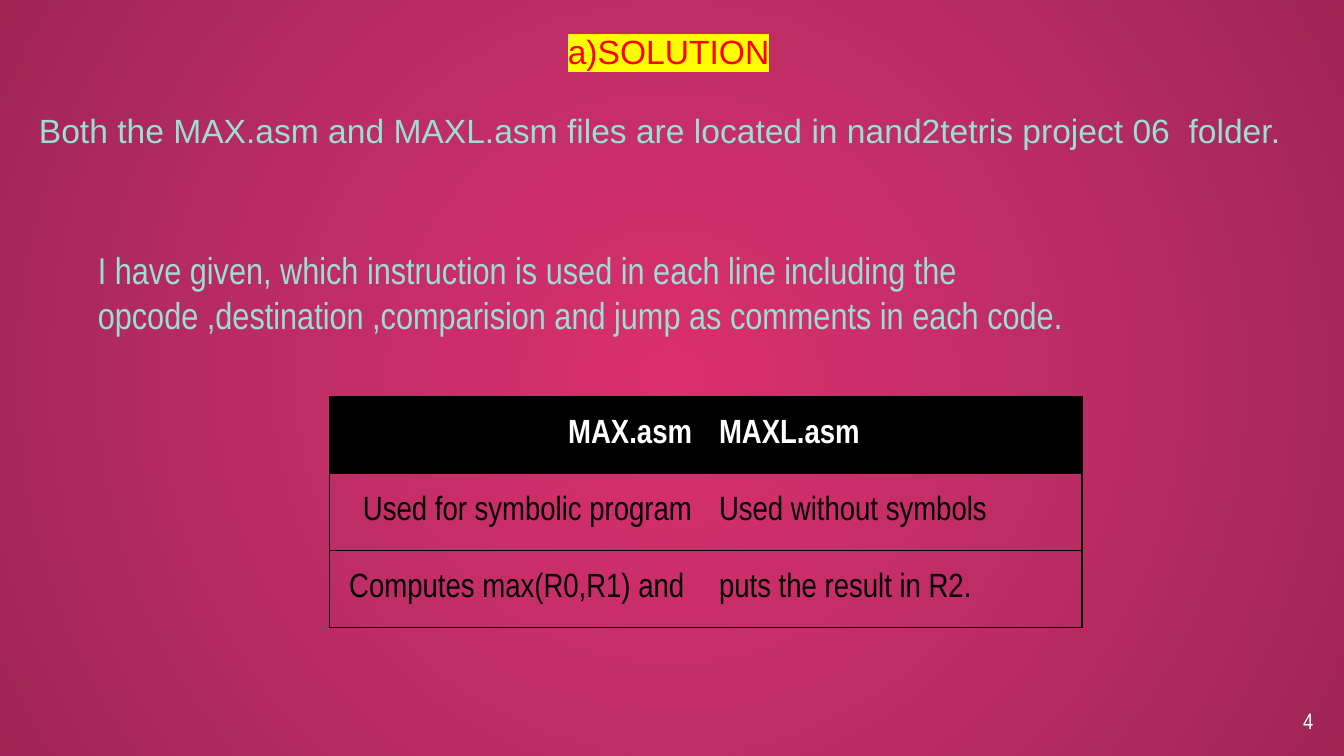
"""Build the solution slide with its file comparison table."""
from pptx import Presentation
from pptx.dml.color import RGBColor
from pptx.enum.shapes import MSO_SHAPE
from pptx.enum.text import MSO_ANCHOR, MSO_AUTO_SIZE, PP_ALIGN
from pptx.oxml import parse_xml
from pptx.oxml.ns import nsdecls, qn
from pptx.util import Pt

RECT = MSO_SHAPE.RECTANGLE
TOP, MIDDLE = MSO_ANCHOR.TOP, MSO_ANCHOR.MIDDLE
LEFT, CENTER, RIGHT = PP_ALIGN.LEFT, PP_ALIGN.CENTER, PP_ALIGN.RIGHT
NO_RESIZE = MSO_AUTO_SIZE.NONE
WIDTH, HEIGHT = 720, 405
NO_STYLE = "{2D5ABB26-0587-4C30-8999-92F81FD0307C}"
COLORS = {
    "pink": "DB2F6B",
    "navy": "073763",
    "night": "010B15",
    "mint": "9BDED2",
    "red": "FF0000",
    "yellow": "FFFF00",
    "white": "FFFFFF",
    "black": "000000",
}
ROWS = [
    ("MAX.asm", "MAXL.asm"),
    ("Used for symbolic program", "Used without symbols"),
    ("Computes max(R0,R1) and\N{NO-BREAK SPACE}", "puts the result in R2."),
]


def rgb(name):
    return RGBColor.from_string(COLORS[name])


def write(p, text, size=18, color="black", font="Arial Narrow", bold=False,
          align=LEFT, before=0, highlight=None):
    p.alignment = align
    p.space_before = Pt(before)
    p.line_spacing = 1.0
    r = p.add_run()
    r.text = text
    r.font.size = Pt(size)
    r.font.name = font
    r.font.bold = bold
    r.font.color.rgb = rgb(color)
    if highlight:
        mark = parse_xml(f'<a:highlight {nsdecls("a")}>'
                         f'<a:srgbClr val="{COLORS[highlight]}"/></a:highlight>')
        r.font._element.find(qn("a:solidFill")).addnext(mark)


def add_vignette(s):
    s.background.fill.solid()
    s.background.fill.fore_color.rgb = rgb("pink")
    sp = s.shapes.add_shape(RECT, 0, 0, Pt(WIDTH), Pt(HEIGHT))
    sp.shadow.inherit = False
    sp.line.fill.background()
    sp.fill.background()
    stops = "".join(
        f'<a:gs pos="{pos}"><a:srgbClr val="{COLORS[name]}">'
        f'<a:alpha val="{alpha}"/></a:srgbClr></a:gs>'
        for pos, name, alpha in ((0, "navy", 0), (100000, "night", 28000)))
    gradient = parse_xml(
        f'<a:gradFill {nsdecls("a")}><a:gsLst>{stops}</a:gsLst>'
        '<a:path path="circle"><a:fillToRect l="50000" t="50000" '
        'r="50000" b="50000"/></a:path></a:gradFill>')
    props = sp._element.spPr
    props.replace(props.find(qn("a:noFill")), gradient)
    s.shapes._spTree.insert(2, sp._element)


def add_title(s):
    sp = s.shapes.title
    sp.left, sp.top, sp.width, sp.height = Pt(8.64), Pt(12.24), Pt(699.12), Pt(72.72)
    tf = sp.text_frame
    tf.auto_size = NO_RESIZE
    tf.vertical_anchor = MIDDLE
    write(tf.paragraphs[0], "a)SOLUTION", color="red", font="Arial",
          align=CENTER, highlight="yellow")
    write(tf.add_paragraph(),
          " Both the MAX.asm and MAXL.asm files are located in "
          "nand2tetris project 06  folder.",
          color="mint", font="Arial", before=21)


def add_text(s, box, text, anchor=TOP, margin=3.6, **fmt):
    tf = s.shapes.add_textbox(*map(Pt, box)).text_frame
    tf.word_wrap = True
    tf.auto_size = NO_RESIZE
    tf.vertical_anchor = anchor
    tf.margin_top = tf.margin_bottom = Pt(margin)
    write(tf.paragraphs[0], text, **fmt)


def add_borders(cell, sides):
    for i, side in enumerate(sides):
        line = parse_xml(
            f'<a:ln{side} {nsdecls("a")} w="{Pt(0.75)}"><a:solidFill>'
            f'<a:srgbClr val="{COLORS["black"]}"/></a:solidFill></a:ln{side}>')
        cell._tc.get_or_add_tcPr().insert(i, line)


def add_comparison(s):
    table = s.shapes.add_table(len(ROWS), 2, Pt(176.4), Pt(212.4),
                               Pt(403.2), Pt(123.84)).table
    table._tbl.tblPr.find(qn("a:tableStyleId")).text = NO_STYLE
    table.horz_banding = False
    for i, row in enumerate(ROWS):
        header = i == 0
        for j, text in enumerate(row):
            cell = table.cell(i, j)
            cell.vertical_anchor = MIDDLE
            if header:
                cell.fill.solid()
                cell.fill.fore_color.rgb = rgb("black")
            else:
                cell.fill.background()
            add_borders(cell, "RTB" if j else "LTB")
            write(cell.text_frame.paragraphs[0], text, bold=header,
                  color="white" if header else "black",
                  align=LEFT if j else RIGHT)


def main():
    prs = Presentation()
    prs.slide_width, prs.slide_height = Pt(WIDTH), Pt(HEIGHT)
    s = prs.slides.add_slide(prs.slide_layouts[5])
    add_vignette(s)
    add_title(s)
    add_text(s, (45.36, 128.88, 628.56, 55.44),
             "I have given, which instruction is used in each line including the "
             "opcode ,destination ,comparision and jump as comments in each code.",
             anchor=MIDDLE, size=20, color="mint")
    add_comparison(s)
    add_text(s, (667.44, 371.52, 43.2, 27.36), "4", margin=7.2,
             size=12, color="white", align=RIGHT)
    prs.save("out.pptx")


if __name__ == "__main__":
    main()
